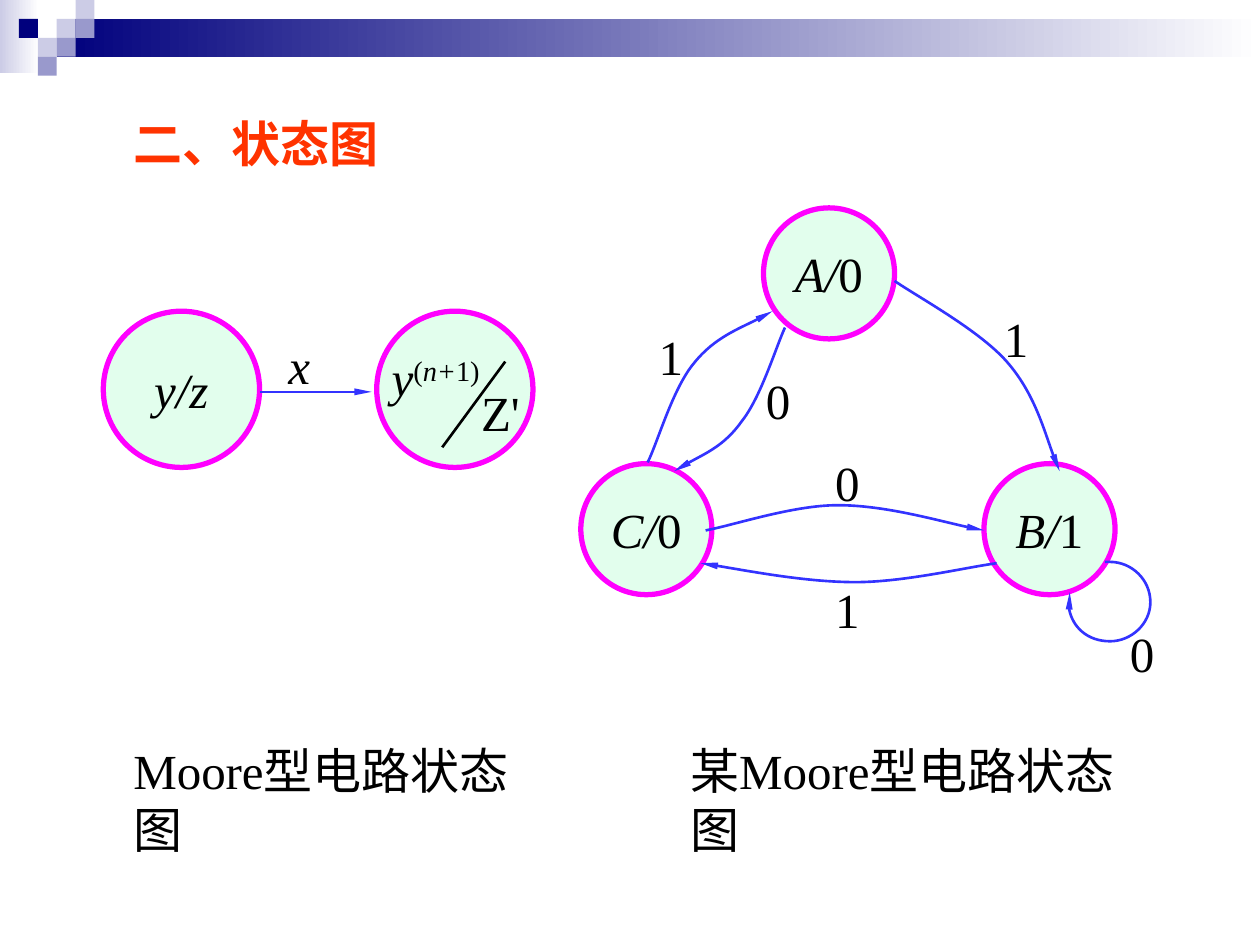
import pptx
import pptx.util
import pptx.dml.color
import pptx.enum.shapes
import pptx.enum.text
import pptx.oxml
import pptx.oxml.ns
from lxml import etree

Inches, Pt = pptx.util.Inches, pptx.util.Pt
Shape = pptx.enum.shapes.MSO_SHAPE
Align, Anchor = pptx.enum.text.PP_ALIGN, pptx.enum.text.MSO_ANCHOR
qn = pptx.oxml.ns.qn


class Theme:
    font, size = "Times New Roman", 28
    title, text = "FF3300", "000000"
    disc, ring, arrow = "E2FEED", "FF00FF", "3333FF"
    navy, mid, pale, white = "00007D", "9999CC", "CCCCE6", "FFFFFF"
    thick, thin = 3, 1.5


TITLE = ("二、状态图", 0.96, 0.85, 2.15)
CAPTIONS = [("Moore型电路状态图", 0.96, 5.83, 3.56),
            ("某Moore型电路状态图", 5.38, 5.83, 3.95)]

# Header: gradient bars, then squares as column, row, colour
BARS = [(0, 0, 0.31, 0.58, Theme.pale), (0.45, 0.15, 9.55, 0.3, Theme.navy)]
CELL = 0.15
TILES = [(3, 1, Theme.pale), (4, 0, Theme.pale), (4, 1, Theme.mid),
         (2, 2, Theme.pale), (1, 1, Theme.navy), (3, 2, Theme.mid),
         (2, 3, Theme.mid)]

# Text runs are (text, style): i = italic, ^ = raised
BIG, SMALL = 1.24, 1.04
STATES = [([("y/z", "i")], 0.82, 2.47, BIG),
          ([], 2.99, 2.47, BIG),
          ([("C/", "i"), ("0", "")], 4.61, 3.68, SMALL),
          ([("A/", "i"), ("0", "")], 6.06, 1.65, SMALL),
          ([("B/", "i"), ("1", "")], 7.81, 3.68, SMALL)]
LABELS = [([("x", "i")], 2.19, 2.61, 0.37),
          ([("y", "i"), ("(", "^"), ("n+", "i^"), ("1)", "^")], 3.01, 2.71, 0.99),
          ([("Z'", "")], 3.72, 2.99, 0.51)]
LABELS += [([(bit, "")], x, y, 0.4) for bit, x, y in [
    ("0", 8.87, 4.9), ("1", 6.53, 4.55), ("0", 6.53, 3.54), ("1", 7.87, 2.4),
    ("1", 5.13, 2.54), ("0", 5.98, 2.89)]]

LINES = [((2.06, 3.11), (2.95, 3.11), Theme.arrow, True),
         ((4.01, 2.87), (3.51, 3.55), Theme.text, False)]
# Each curve: a start, then three Bezier points a piece; the arrow is at the end
CURVES = {
    "B to C": [(7.91, 4.47), (7.68, 4.5), (7.18, 4.62), (6.79, 4.62),
               (6.4, 4.62), (5.77, 4.5), (5.56, 4.47)],
    "C to B": [(5.6, 4.21), (5.82, 4.17), (6.29, 4.01), (6.65, 4.01),
               (7.02, 4.01), (7.62, 4.18), (7.81, 4.21)],
    "B to B": [(8.77, 4.46), (8.78, 4.46), (8.79, 4.46), (8.81, 4.46),
               (8.98, 4.46), (9.13, 4.6), (9.13, 4.78),
               (9.13, 4.95), (8.98, 5.09), (8.81, 5.09),
               (8.63, 5.09), (8.48, 4.95), (8.48, 4.78),
               (8.48, 4.75), (8.49, 4.72), (8.49, 4.7)],
    "A to B": [(7.1, 2.23), (7.29, 2.36), (7.77, 2.62), (7.99, 2.87),
               (8.21, 3.12), (8.34, 3.59), (8.41, 3.74)],
    "C to A": [(5.14, 3.67), (5.22, 3.51), (5.34, 3.08), (5.51, 2.88),
               (5.67, 2.68), (6.02, 2.54), (6.13, 2.47)],
    "A to C": [(6.23, 2.6), (6.16, 2.75), (6.04, 3.15), (5.89, 3.34),
               (5.75, 3.54), (5.44, 3.68), (5.35, 3.74)],
}

deck = pptx.Presentation()
deck.slide_width, deck.slide_height = Inches(10), Inches(7.5)
slide = deck.slides.add_slide(deck.slide_layouts[5])
shapes = slide.shapes


def color(code):
    return pptx.dml.color.RGBColor.from_string(code)


def add_shape(kind, *box):
    shape = shapes.add_shape(kind, *map(Inches, box))
    shape.shadow.inherit = False
    shape.line.fill.background()
    return shape


def paint(shape, code):
    shape.fill.solid()
    shape.fill.fore_color.rgb = color(code)


def stroke(line, code, width, arrow=False):
    line.color.rgb = color(code)
    line.width = Pt(width)
    if arrow:
        etree.SubElement(line._get_or_add_ln(), qn("a:tailEnd"),
                         {"type": "triangle", "w": "sm", "len": "lg"})


def write(frame, runs, align=Align.LEFT, code=Theme.text, bold=False, wrap=False):
    frame.word_wrap = wrap
    para = frame.paragraphs[0]
    para.alignment = align
    font = para.font
    font.name, font.size, font.bold = Theme.font, Pt(Theme.size), bold
    font.color.rgb = color(code)
    for text, style in runs:
        run = para.add_run()
        run.text = text
        if "i" in style:
            run.font.italic = True
        if "^" in style:
            run._r.get_or_add_rPr().set("baseline", "30000")


def add_text(runs, x, y, width, **look):
    box = shapes.add_textbox(*map(Inches, (x, y, width, 0.57)))
    write(box.text_frame, runs, **look)


def add_curve(points):
    """Draw an arrow whose points, after the first, form cubic Bezier triples."""
    start, *rest = [(Inches(x), Inches(y)) for x, y in points]
    pen = shapes.build_freeform(*start)
    pen.add_line_segments(rest, close=False)
    shape = pen.convert_to_shape()
    shape.shadow.inherit = False
    shape.fill.background()
    stroke(shape.line, Theme.arrow, Theme.thin, True)
    steps = list(shape._element.iter(qn("a:lnTo")))
    for n in range(0, len(steps), 3):
        bend = etree.SubElement(steps[n].getparent(), qn("a:cubicBezTo"))
        for step in steps[n:n + 3]:
            bend.append(step[0])
            step.getparent().remove(step)


for *box, code in BARS:
    fill = add_shape(Shape.RECTANGLE, *box).fill
    fill.gradient()
    fill.gradient_angle = 0
    for stop, tint in zip(fill.gradient_stops, (code, Theme.white)):
        stop.color.rgb = color(tint)
for col, row, code in TILES:
    paint(add_shape(Shape.RECTANGLE, col * CELL, row * CELL, CELL, CELL), code)

text, x, y, width = TITLE
title = shapes.title
title.left, title.top, title.width, title.height = map(Inches, (x, y, width, 0.57))
title.text_frame.auto_size = pptx.enum.text.MSO_AUTO_SIZE.NONE
title.text_frame.vertical_anchor = Anchor.TOP
write(title.text_frame, [(text, "")], code=Theme.title, bold=True)
for text, x, y, width in CAPTIONS:
    add_text([(text, "")], x, y, width, wrap=True)

for runs, x, y, size in STATES:
    disc = add_shape(Shape.OVAL, x, y, size, size)
    paint(disc, Theme.disc)
    stroke(disc.line, Theme.ring, Theme.thick)
    if runs:
        disc.text_frame.vertical_anchor = Anchor.MIDDLE
        write(disc.text_frame, runs, Align.CENTER)

for start, end, code, arrow in LINES:
    link = shapes.add_connector(pptx.enum.shapes.MSO_CONNECTOR.STRAIGHT,
                                *map(Inches, start + end))
    stroke(link.line, code, Theme.thin, arrow)
    etree.SubElement(link._element.spPr, qn("a:effectLst"))
for points in CURVES.values():
    add_curve(points)
for label in LABELS:
    add_text(*label)

deck.save("out.pptx")
